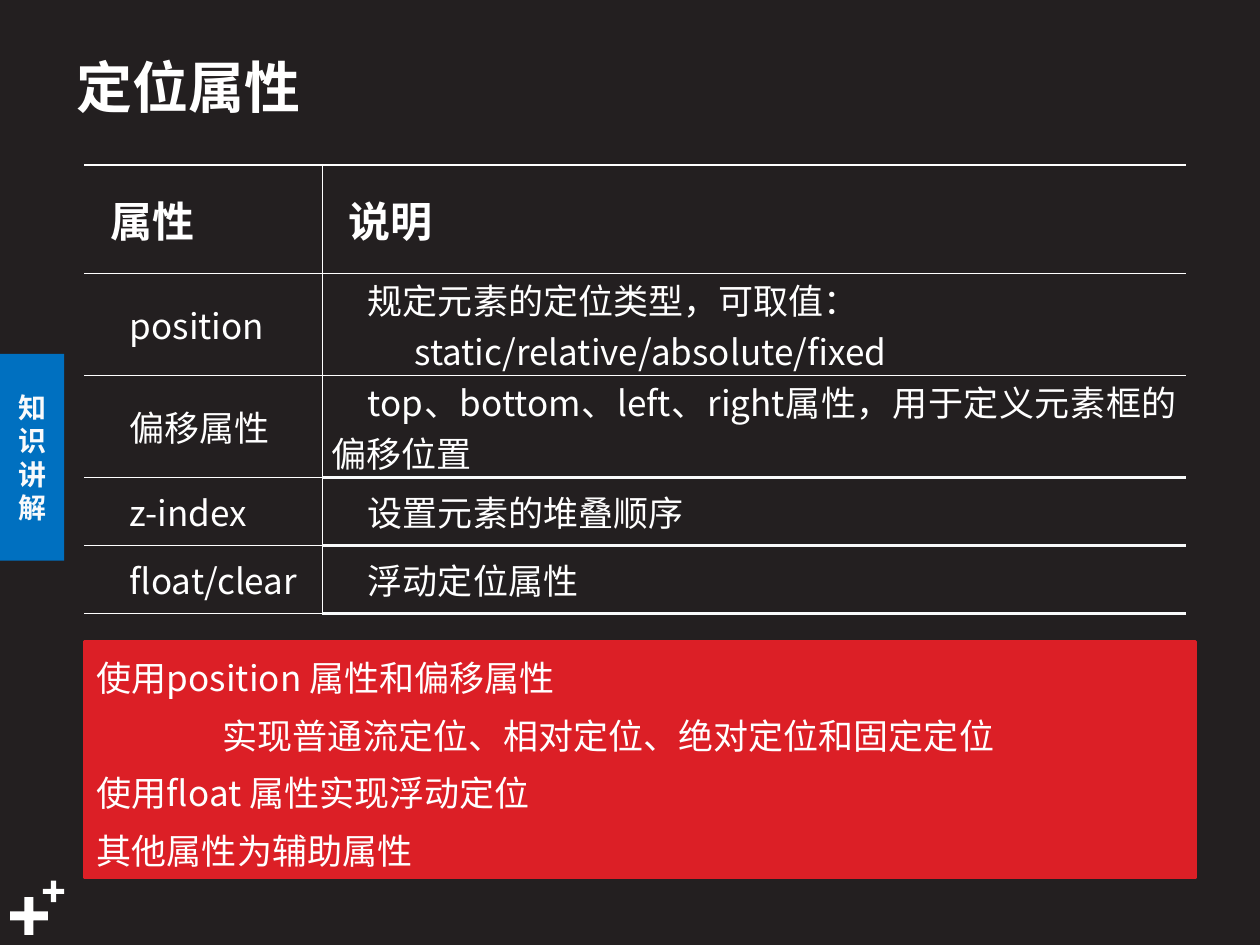
import pptx
import pptx.util
import pptx.dml.color
import pptx.enum.shapes
import pptx.enum.text
import pptx.oxml.ns
from lxml import etree

Inches = pptx.util.Inches
Pt = pptx.util.Pt
qn = pptx.oxml.ns.qn
SHAPE = pptx.enum.shapes.MSO_SHAPE
ALIGN = pptx.enum.text.PP_ALIGN
MIDDLE = pptx.enum.text.MSO_ANCHOR.MIDDLE
FONT = "Noto Sans CJK SC"
WHITE = "FFFFFF"
PALE = "F9FAFB"
RED = "DC1F26"


def rgb(value):
    return pptx.dml.color.RGBColor.from_string(value)


def style(p, size, bold=False, color=WHITE, align=ALIGN.LEFT, indent=0):
    p.alignment = align
    p._p.get_or_add_pPr().set("indent", str(Inches(indent)))
    for r in p.runs:
        r.font.size = Pt(size)
        r.font.bold = bold
        r.font.name = FONT
        r.font.color.rgb = rgb(color)
        etree.SubElement(r._r.get_or_add_rPr(), qn("a:ea")).set("typeface", FONT)


prs = pptx.Presentation()
prs.slide_width = Inches(10)
prs.slide_height = Inches(7.5)
s = prs.slides.add_slide(prs.slide_layouts[6])
s.background.fill.solid()
s.background.fill.fore_color.rgb = rgb("231F20")

blocks = []
for kind, left, top, width, height, color in [
    (SHAPE.CROSS, 0.08, 7.12, 0.3, 0.3, WHITE),
    (SHAPE.CROSS, 0.34, 6.99, 0.17, 0.17, WHITE),
    (SHAPE.RECTANGLE, 0, 2.81, 0.51, 1.64, "0070C0"),
    (SHAPE.RECTANGLE, 0.67, 5.09, 8.82, 1.88, RED),
]:
    sp = s.shapes.add_shape(kind, Inches(left), Inches(top), Inches(width), Inches(height))
    sp.shadow.inherit = False
    sp.fill.solid()
    sp.fill.fore_color.rgb = rgb(color)
    sp.line.fill.background()
    if kind == SHAPE.CROSS:
        sp.adjustments[0] = 0.38
    blocks.append(sp)
label, summary = blocks[2:]

tf = label.text_frame
tf.word_wrap = True
tf.vertical_anchor = MIDDLE
tf.text = "知识讲解"
style(tf.paragraphs[0], 16, True, PALE, ALIGN.CENTER)

title = s.shapes.add_textbox(Inches(0.51), Inches(0.29), Inches(7.4), Inches(0.78))
tf = title.text_frame
tf.word_wrap = True
tf.vertical_anchor = MIDDLE
tf.text = "定位属性"
style(tf.paragraphs[0], 32, True)

rows = [
    ("属性", "说明", 0.86),
    ("position", "规定元素的定位类型，可取值：\nstatic/relative/absolute/fixed", 0.81),
    ("偏移属性", "top、bottom、left、right属性，用于定义元素框的偏移位置", 0.81),
    ("z-index", "设置元素的堆叠顺序", 0.54),
    ("float/clear", "浮动定位属性", 0.54),
]
table = s.shapes.add_table(
    len(rows), 2, Inches(0.67), Inches(1.31), Inches(8.74), Inches(3.54)
).table
table.first_row = False
table.horz_banding = False
table.columns[0].width = Inches(1.89)
table.columns[1].width = Inches(6.85)

for i, (name, meaning, height) in enumerate(rows):
    table.rows[i].height = Inches(height)
    header = i == 0
    for j, text in enumerate((name, meaning)):
        cell = table.cell(i, j)
        cell.vertical_anchor = MIDDLE
        cell.margin_left = cell.margin_right = Inches(0.07)
        cell.margin_top = cell.margin_bottom = 0
        cell.text_frame.text = text
        for n, p in enumerate(cell.text_frame.paragraphs):
            align = ALIGN.JUSTIFY if header or j else ALIGN.LEFT
            indent = 0.14 if header else 0.66 if n else 0.29
            style(p, 24 if header else 20, header, WHITE, align, indent)

        top = 1.5 if header or (j and i > 2) else 0.75
        bottom = 1.5 if j and i > 1 else 0.75
        sides = {"L": 0.75 * j, "R": 0.75 * (1 - j), "T": top, "B": bottom}
        for side, width in sides.items():
            ln = etree.SubElement(cell._tc.get_or_add_tcPr(), qn("a:ln" + side))
            if width:
                ln.set("w", str(Pt(width)))
                fill = etree.SubElement(ln, qn("a:solidFill"))
                color = PALE if width == 1.5 and not header else WHITE
                etree.SubElement(fill, qn("a:srgbClr")).set("val", color)
            else:
                etree.SubElement(ln, qn("a:noFill"))
        cell.fill.background()

summary.line.color.rgb = rgb(RED)
summary.line.width = Pt(1.5)
tf = summary.text_frame
tf.word_wrap = True
tf.vertical_anchor = MIDDLE
tf.text = "\n".join([
    "使用position 属性和偏移属性",
    "实现普通流定位、相对定位、绝对定位和固定定位",
    "使用float 属性实现浮动定位",
    "其他属性为辅助属性",
])
for i, p in enumerate(tf.paragraphs):
    style(p, 20, indent=1 if i == 1 else 0)
    p.line_spacing = 1.2
    p.space_before = Pt(4)

prs.save("out.pptx")
